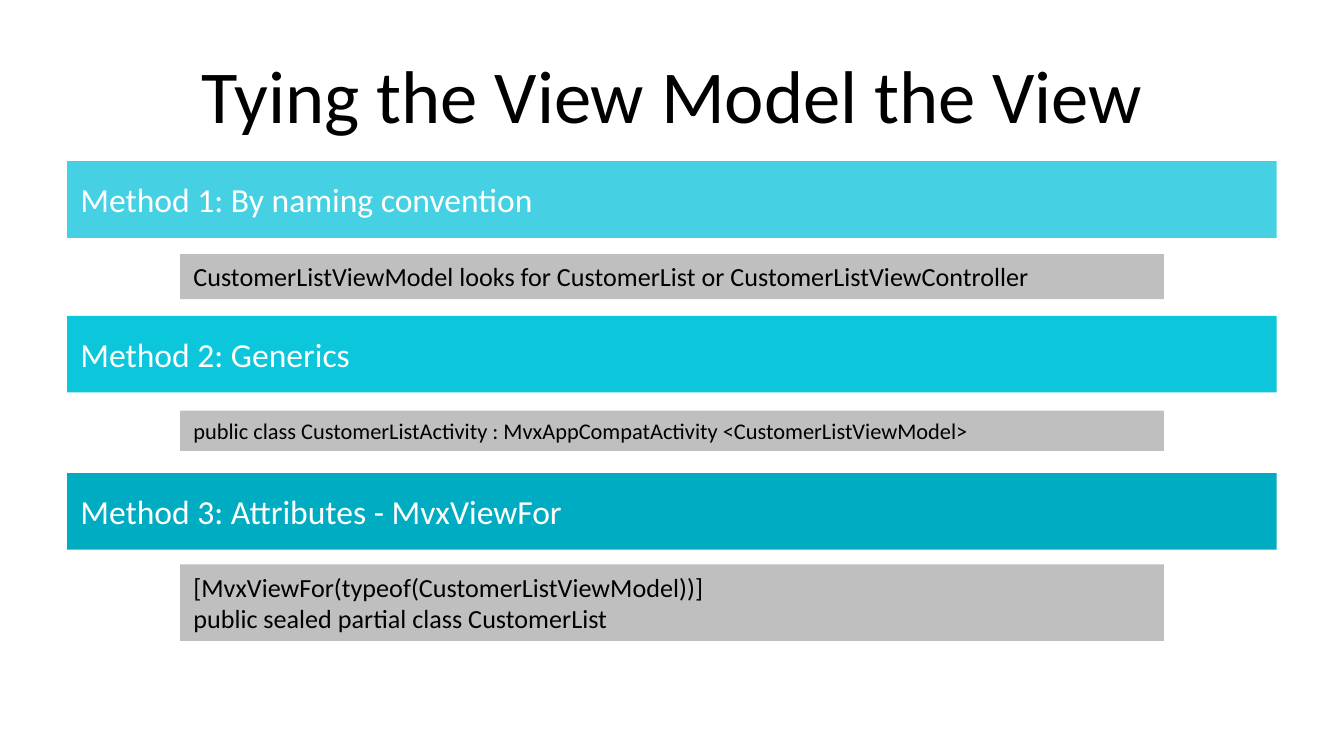
from pptx import Presentation
from pptx.dml.color import RGBColor
from pptx.enum.shapes import MSO_SHAPE
from pptx.enum.text import MSO_ANCHOR, MSO_AUTO_SIZE, PP_ALIGN
from pptx.util import Pt

EMU_PER_PX = 4572  # 200 px to the inch
BAR_LEFT, BAR_WIDTH, BAR_HEIGHT = 100, 1800, 114
CODE_LEFT, CODE_WIDTH = 268, 1464

# heading, bar colour, bar top, code lines, code top, code height, code size
METHODS = [
    ("Method 1: By naming convention", "45D1E3", 240,
     ["CustomerListViewModel looks for CustomerList or CustomerListViewController"],
     378, 67, 14),
    ("Method 2: Generics", "0CC6DC", 470,
     ["public class CustomerListActivity : MvxAppCompatActivity <CustomerListViewModel>"],
     611, 60, 12),
    ("Method 3: Attributes - MvxViewFor", "00ACC2", 704,
     ["[MvxViewFor(typeof(CustomerListViewModel))]",
      "public sealed partial class CustomerList"],
     840, 114, 14),
]


def px(*lengths):
    return [length * EMU_PER_PX for length in lengths]


def color(hex_string):
    return RGBColor.from_string(hex_string)


def write_lines(shape, lines, size, font_color, alignment=PP_ALIGN.LEFT,
                anchor=MSO_ANCHOR.MIDDLE):
    frame = shape.text_frame
    frame.word_wrap = True
    frame.vertical_anchor = anchor
    frame.text = "\n".join(lines)
    for paragraph in frame.paragraphs:
        paragraph.alignment = alignment
        paragraph.font.name = "Calibri"
        paragraph.font.size = Pt(size)
        paragraph.font.color.rgb = color(font_color)


def add_title(slide, text):
    title = slide.shapes.add_textbox(*px(100, 46, 1800, 188))
    write_lines(title, [text], 40, "000000", PP_ALIGN.CENTER)


def add_rectangle(slide, left, top, width, height, fill):
    shape = slide.shapes.add_shape(MSO_SHAPE.RECTANGLE, *px(left, top, width, height))
    shape.shadow.inherit = False
    shape.fill.solid()
    shape.fill.fore_color.rgb = color(fill)
    shape.line.fill.background()
    return shape


def add_heading_bar(slide, text, fill, top):
    bar = add_rectangle(slide, BAR_LEFT, top, BAR_WIDTH, BAR_HEIGHT, fill)
    write_lines(bar, [text], 18, "FFFFFF")


def add_code_box(slide, lines, top, height, size):
    box = add_rectangle(slide, CODE_LEFT, top, CODE_WIDTH, height, "BFBFBF")
    write_lines(box, lines, size, "000000", anchor=MSO_ANCHOR.TOP)
    box.text_frame.auto_size = MSO_AUTO_SIZE.SHAPE_TO_FIT_TEXT


def main():
    presentation = Presentation()
    presentation.slide_width, presentation.slide_height = px(2000, 1125)
    slide = presentation.slides.add_slide(presentation.slide_layouts[6])

    add_title(slide, "Tying the View Model the View")
    for heading, fill, bar_top, lines, code_top, code_height, code_size in METHODS:
        add_heading_bar(slide, heading, fill, bar_top)
        add_code_box(slide, lines, code_top, code_height, code_size)

    presentation.save("out.pptx")


if __name__ == "__main__":
    main()
